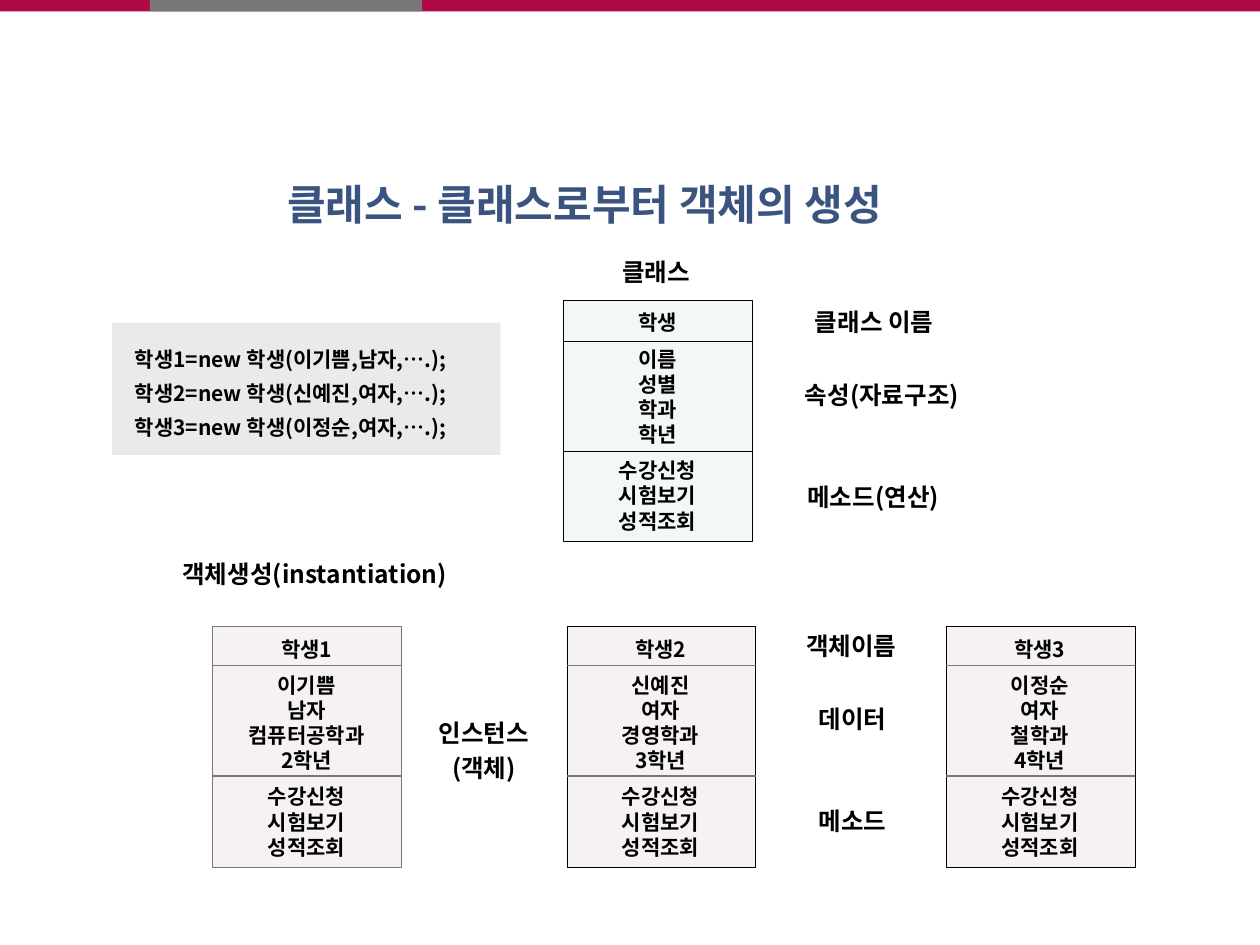
import pptx
import pptx.dml.color
import pptx.enum.shapes
import pptx.enum.text
import pptx.oxml.ns
import pptx.util
from lxml import etree

Pt = pptx.util.Pt
ALIGN = pptx.enum.text.PP_ALIGN
ANCHOR = pptx.enum.text.MSO_ANCHOR
FONT = "Noto Sans CJK KR"
BLACK, GRAY, CRIMSON, NAVY = "000000", "777777", "AF0948", "3B537F"
CLASS_FILL, OBJECT_FILL, CODE_FILL = "F3F7F7", "F5F1F4", "EAEAEA"
BOX_W, BOX_H = 108, 138.2
METHODS = ["수강신청", "시험보기", "성적조회"]


def rgb(color):
    return pptx.dml.color.RGBColor.from_string(color)


def add_rect(slide, x, y, w, h, fill, line=None):
    s = slide.shapes.add_shape(
        pptx.enum.shapes.MSO_SHAPE.RECTANGLE, Pt(x), Pt(y), Pt(w), Pt(h))
    s.shadow.inherit = False
    s.fill.solid()
    s.fill.fore_color.rgb = rgb(fill)
    if line:
        s.line.color.rgb = rgb(line)
        s.line.width = Pt(0.5)
    else:
        s.line.fill.background()
    return s


def add_divider(slide, x, y, color, width):
    s = slide.shapes.add_connector(
        pptx.enum.shapes.MSO_CONNECTOR.STRAIGHT, Pt(x), Pt(y), Pt(x + BOX_W), Pt(y))
    s.line.color.rgb = rgb(color)
    s.line.width = Pt(width)
    etree.SubElement(s._element.spPr, pptx.oxml.ns.qn("a:effectLst"))


def write(tf, lines, size, color=BLACK, align=ALIGN.LEFT, pitch=None, gaps=()):
    """Write one paragraph per line; gaps holds the lines with space before."""
    for i, line in enumerate(lines):
        p = tf.paragraphs[0] if i == 0 else tf.add_paragraph()
        p.text = line
        p.alignment = align
        if pitch:
            p.line_spacing = Pt(pitch)
        if i in gaps:
            p.space_before = Pt(6.2)
        p.font.size = Pt(size)
        p.font.bold = True
        p.font.color.rgb = rgb(color)
        p.font.name = FONT
        props = p._p.get_or_add_pPr().get_or_add_defRPr()
        etree.SubElement(props, pptx.oxml.ns.qn("a:ea"), typeface=FONT)


def add_text(slide, x, y, w, h, lines, size, **style):
    tf = slide.shapes.add_textbox(Pt(x), Pt(y), Pt(w), Pt(h)).text_frame
    tf.word_wrap = False
    write(tf, lines, size, **style)
    return tf


def add_label(slide, x, y, w, *lines, align=ALIGN.LEFT):
    add_text(slide, x, y, w, 7.2 + 20.2 * len(lines), lines, 14,
             align=align, pitch=20.2)


def add_record(slide, x, y, fill, line, dividers, name, fields, text_w=62.6):
    """Box with a name, its fields and the methods; dividers: offsets, color, width."""
    add_rect(slide, x, y, BOX_W, BOX_H, fill, line)
    offsets, color, width = dividers
    for offset in offsets:
        add_divider(slide, x, y + offset, color, width)
    add_text(slide, x + (BOX_W - text_w) / 2 - 0.5, y + 2.2, text_w, 134,
             [name, *fields, *METHODS], 12, align=ALIGN.CENTER, pitch=14.4,
             gaps=(1, 1 + len(fields)))


def add_code(slide, lines):
    tf = add_rect(slide, 64.1, 184.3, 221.8, 75.6, CODE_FILL).text_frame
    tf.word_wrap = True
    tf.margin_left = Pt(13)
    tf.vertical_anchor = ANCHOR.MIDDLE
    write(tf, lines, 12, pitch=19.4)


def main():
    prs = pptx.Presentation()
    prs.slide_width, prs.slide_height = Pt(720), Pt(540)
    slide = prs.slides.add_slide(prs.slide_layouts[6])

    add_rect(slide, 0, 0, 720, 6.5, CRIMSON)
    add_rect(slide, 85.7, 0, 155.5, 6.5, GRAY)
    title = add_text(slide, 157, 98.6, 406, 36,
                     ["클래스 - 클래스로부터 객체의 생성"], 24, color=NAVY)
    title.word_wrap = True
    title.vertical_anchor = ANCHOR.MIDDLE

    add_record(slide, 322.2, 171.4, CLASS_FILL, BLACK, ((23.8, 86.4), BLACK, 0.5),
               "학생", ["이름", "성별", "학과", "학년"])

    students = [
        (121.7, GRAY, 86.4, ["이기쁨", "남자", "컴퓨터공학과", "2학년"]),
        (324, BLACK, 62.6, ["신예진", "여자", "경영학과", "3학년"]),
        (540.7, BLACK, 62.6, ["이정순", "여자", "철학과", "4학년"]),
    ]
    for number, (x, line, text_w, fields) in enumerate(students, 1):
        add_record(slide, x, 357.8, OBJECT_FILL, line, ((22.4, 85.7), GRAY, 0.75),
                   f"학생{number}", fields, text_w)

    add_code(slide, [
        f"학생{number}=new 학생({fields[0]},{fields[1]},….);"
        for number, (_, _, _, fields) in enumerate(students, 1)
    ])

    for x, y, w, text in [
        (348.5, 139.7, 56.2, "클래스"),
        (458.6, 168.5, 89.3, "클래스 이름"),
        (452.9, 210.2, 116, "속성(자료구조)"),
        (454.3, 268.6, 104, "메소드(연산)"),
        (97.2, 312.5, 174, "객체생성(instantiation)"),
        (453.6, 353.5, 70.6, "객체이름"),
        (460.8, 395.3, 56.2, "데이터"),
        (460.8, 453.6, 56.2, "메소드"),
    ]:
        add_label(slide, x, y, w, text)
    add_label(slide, 241.2, 403.2, 70.6, "인스턴스", "(객체)", align=ALIGN.CENTER)

    prs.save("out.pptx")


if __name__ == "__main__":
    main()
